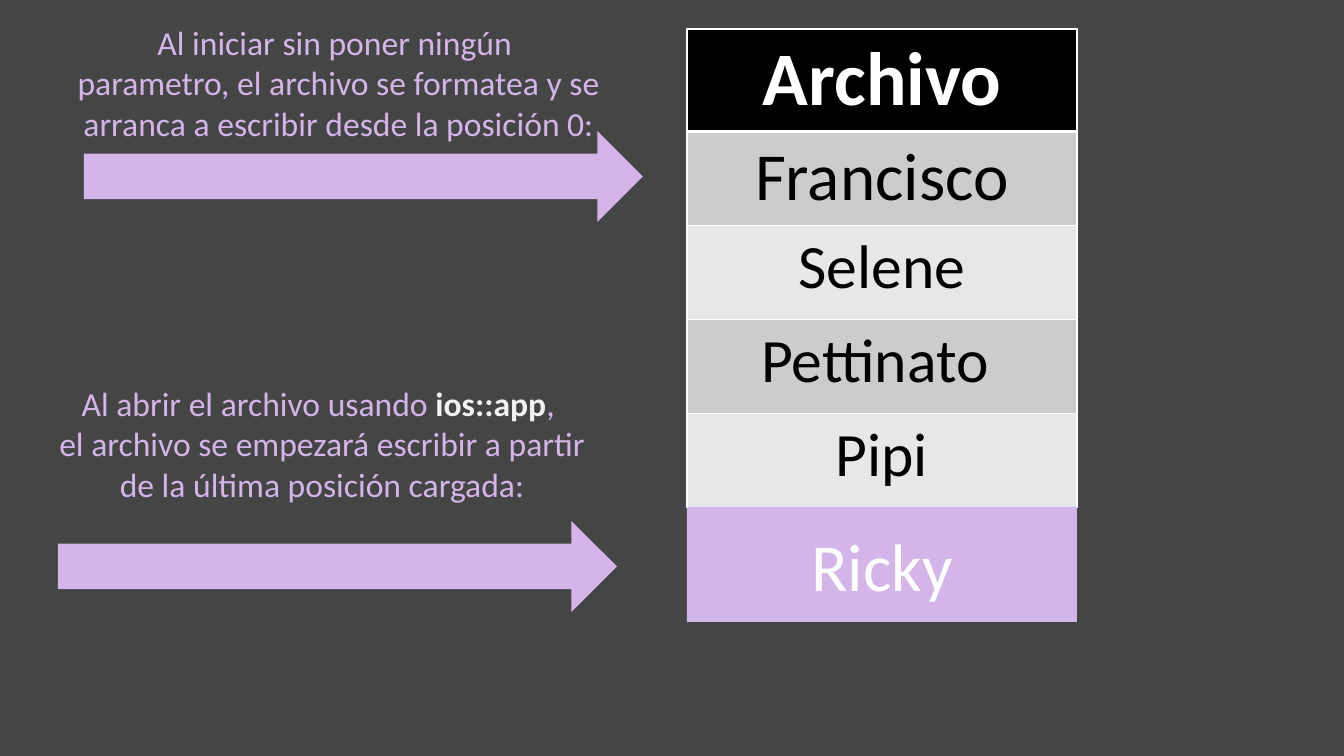
from dataclasses import dataclass

from lxml.etree import SubElement
from pptx import Presentation
from pptx.dml.color import RGBColor
from pptx.enum.shapes import MSO_SHAPE
from pptx.enum.text import MSO_ANCHOR, MSO_AUTO_SIZE, PP_ALIGN
from pptx.oxml.ns import qn
from pptx.util import Emu, Pt

PX_PER_INCH = 100.8
FONT = "Calibri"
CHARCOAL = RGBColor(0x45, 0x45, 0x45)
LILAC = RGBColor(0xD3, 0xB5, 0xE9)
WHITE = RGBColor(0xFF, 0xFF, 0xFF)
OFF_WHITE = RGBColor(0xF2, 0xF2, 0xF2)
BLACK = RGBColor(0x00, 0x00, 0x00)
DARK_BAND = RGBColor(0xCC, 0xCC, 0xCC)
LIGHT_BAND = RGBColor(0xE7, 0xE7, 0xE7)


@dataclass(frozen=True)
class Area:
    left: int
    top: int
    width: int
    height: int

    def emu(self) -> tuple[Emu, Emu, Emu, Emu]:
        return px(self.left), px(self.top), px(self.width), px(self.height)


@dataclass(frozen=True)
class Span:
    text: str
    size: int = 24
    color: RGBColor = LILAC
    bold: bool = False


@dataclass(frozen=True)
class Note:
    area: Area
    lines: list[list[Span]]
    wrap: bool


@dataclass(frozen=True)
class Row:
    span: Span
    fill: RGBColor
    height: int = 94
    top_line: int = 1
    bottom_line: int = 1


TABLE_LEFT, TABLE_TOP, TABLE_WIDTH = 687, 29, 390

ROWS = [
    Row(Span("Archivo", 54, WHITE, True), BLACK, height=102, bottom_line=3),
    Row(Span("Francisco", 48, BLACK), DARK_BAND, top_line=3),
    Row(Span("Selene", 44, BLACK), LIGHT_BAND),
    Row(Span("Pettinato ", 44, BLACK), DARK_BAND),
    Row(Span("Pipi", 44, BLACK), LIGHT_BAND),
]

NOTES = [
    Note(
        Area(65, 17, 547, 132),
        [
            [Span("Al iniciar sin poner ningún ")],
            [Span("parametro, el archivo se formatea y se")],
            [Span("arranca a escribir desde la posición 0:")],
        ],
        wrap=True,
    ),
    Note(
        Area(47, 378, 550, 132),
        [
            [
                Span("Al abrir el archivo usando "),
                Span("ios::app", color=OFF_WHITE, bold=True),
                Span(", "),
            ],
            [Span("el archivo se empezará escribir a partir")],
            [Span("de la última posición cargada:")],
        ],
        wrap=False,
    ),
]

ARROWS = [Area(84, 131, 559, 91), Area(58, 521, 559, 91)]


def px(length: int) -> Emu:
    return Emu(round(length * 914400 / PX_PER_INCH))


def write(text_frame, lines: list[list[Span]]) -> None:
    for index, line in enumerate(lines):
        para = text_frame.add_paragraph() if index else text_frame.paragraphs[0]
        para.alignment = PP_ALIGN.CENTER
        for span in line:
            run = para.add_run()
            run.text = span.text
            run.font.name = FONT
            run.font.size = Pt(span.size)
            run.font.bold = span.bold
            run.font.color.rgb = span.color


def add_border(cell, row: Row) -> None:
    properties = cell._tc.get_or_add_tcPr()
    widths = {"lnL": 1, "lnR": 1, "lnT": row.top_line, "lnB": row.bottom_line}
    for side, width in widths.items():
        line = SubElement(properties, qn(f"a:{side}"), w=str(Pt(width)))
        fill = SubElement(line, qn("a:solidFill"))
        SubElement(fill, qn("a:srgbClr"), val=str(WHITE))


def add_archive_table(page, rows: list[Row]) -> int:
    height = sum(row.height for row in rows)
    area = Area(TABLE_LEFT, TABLE_TOP, TABLE_WIDTH, height)
    table = page.shapes.add_table(len(rows), 1, *area.emu()).table
    table.horz_banding = False
    for index, row in enumerate(rows):
        table.rows[index].height = px(row.height)
        cell = table.cell(index, 0)
        add_border(cell, row)
        cell.fill.solid()
        cell.fill.fore_color.rgb = row.fill
        write(cell.text_frame, [[row.span]])
    return TABLE_TOP + height


def add_note(page, note: Note) -> None:
    box = page.shapes.add_textbox(*note.area.emu())
    box.text_frame.word_wrap = note.wrap
    box.text_frame.auto_size = MSO_AUTO_SIZE.SHAPE_TO_FIT_TEXT
    write(box.text_frame, note.lines)


def add_lilac_shape(page, kind: MSO_SHAPE, area: Area):
    shape = page.shapes.add_shape(kind, *area.emu())
    shape.shadow.inherit = False
    shape.fill.solid()
    shape.fill.fore_color.rgb = LILAC
    shape.line.fill.background()
    return shape


def main() -> None:
    deck = Presentation()
    deck.slide_width, deck.slide_height = px(1344), px(756)
    page = deck.slides.add_slide(deck.slide_layouts[6])
    page.background.fill.solid()
    page.background.fill.fore_color.rgb = CHARCOAL

    table_bottom = add_archive_table(page, ROWS)
    for note, arrow in zip(NOTES, ARROWS):
        add_note(page, note)
        add_lilac_shape(page, MSO_SHAPE.RIGHT_ARROW, arrow)

    appended_area = Area(TABLE_LEFT, table_bottom, TABLE_WIDTH, 115)
    appended = add_lilac_shape(page, MSO_SHAPE.RECTANGLE, appended_area)
    appended.text_frame.vertical_anchor = MSO_ANCHOR.MIDDLE
    write(appended.text_frame, [[Span("Ricky", 48, WHITE)]])

    deck.save("out.pptx")


if __name__ == "__main__":
    main()
